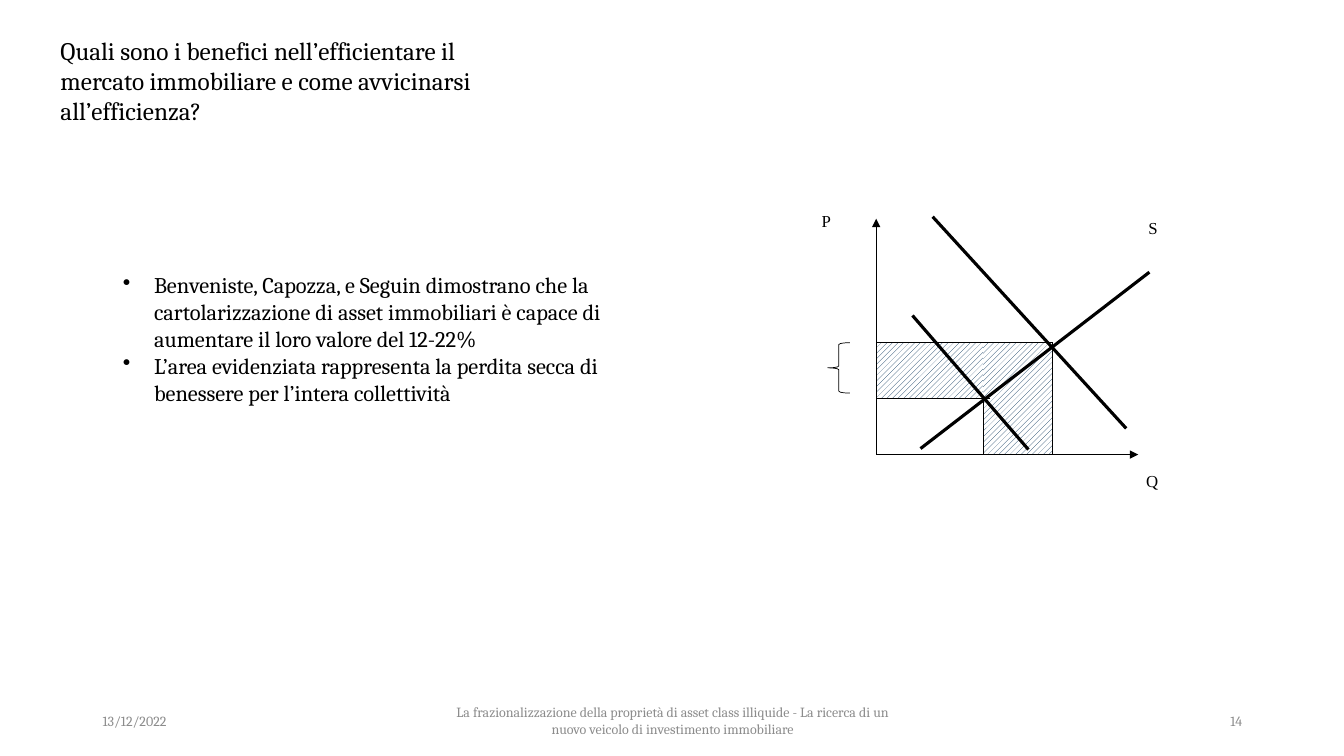
import pptx
import pptx.util
import pptx.dml.color
import pptx.enum.dml
import pptx.enum.shapes
import pptx.enum.text
import pptx.oxml.ns
import lxml.etree

Align = pptx.enum.text.PP_ALIGN
Anchor = pptx.enum.text.MSO_ANCHOR
Shape = pptx.enum.shapes.MSO_SHAPE
BLACK = pptx.dml.color.RGBColor(0x00, 0x00, 0x00)
GREY = pptx.dml.color.RGBColor(0x8C, 0x8C, 0x8C)
WHITE = pptx.dml.color.RGBColor(0xFF, 0xFF, 0xFF)
NAVY = pptx.dml.color.RGBColor(0x00, 0x2F, 0x56)

# Slide with a grid of square cells, 75 rows high
deck = pptx.Presentation()
deck.slide_width = pptx.util.Inches(13.33)
deck.slide_height = pptx.util.Inches(7.5)
CELL = deck.slide_height / 75
page = deck.slides.add_slide(deck.slide_layouts[6])


def add_text(place, texts, size, color=BLACK, font="Cambria",
             align=Align.LEFT, anchor=Anchor.TOP, bullet=False):
    box = page.shapes.add_textbox(*[round(n * CELL) for n in place])
    frame = box.text_frame
    frame.word_wrap = True
    frame.vertical_anchor = anchor
    for index, text in enumerate(texts):
        para = frame.paragraphs[0] if index == 0 else frame.add_paragraph()
        para.alignment = align
        if bullet:
            properties = para._p.get_or_add_pPr()
            properties.set("marL", str(round(3.1 * CELL)))
            properties.set("indent", str(round(-3.1 * CELL)))
            mark = lxml.etree.SubElement(properties, pptx.oxml.ns.qn("a:buChar"))
            mark.set("char", "•")
        span = para.add_run()
        span.text = text
        span.font.name = font
        span.font.size = pptx.util.Pt(size)
        span.font.color.rgb = color
    return frame


def add_line(start, end, weight, arrow=False):
    line = page.shapes.add_connector(
        pptx.enum.shapes.MSO_CONNECTOR.STRAIGHT,
        *[round(n * CELL) for n in start + end])
    line.line.color.rgb = BLACK
    line.line.width = pptx.util.Pt(weight)
    if arrow:
        head = lxml.etree.SubElement(line.line._get_or_add_ln(),
                                     pptx.oxml.ns.qn("a:tailEnd"))
        head.set("type", "triangle")
    lxml.etree.SubElement(line._element.spPr, pptx.oxml.ns.qn("a:effectLst"))


# Footer
for left, width, text, align in [
    (9.2, 30, "13/12/2022", Align.LEFT),
    (44.2, 45, "La frazionalizzazione della proprietà di asset class illiquide"
     " - La ricerca di un nuovo veicolo di investimento immobiliare", Align.CENTER),
    (94.2, 30, "14", Align.RIGHT),
]:
    add_text((left, 69.5, width, 4), [text], 10, GREY, align=align, anchor=Anchor.MIDDLE)

# Bullets and title
add_text((11.2, 5.9, 55, 55.4), [
    "Benveniste, Capozza, e Seguin dimostrano che la cartolarizzazione di asset"
    " immobiliari è capace di aumentare il loro valore del 12-22%",
    "L’area evidenziata rappresenta la perdita secca di benessere per l’intera"
    " collettività",
], 16, anchor=Anchor.MIDDLE, bullet=True)
title = add_text((0, 0, 51, 13.8), [
    "Quali sono i benefici nell’efficientare il mercato immobiliare e come"
    " avvicinarsi all’efficienza?"], 18)
title.margin_left = round(6 * CELL)
title.margin_top = round(3.5 * CELL)

# Key positions of the supply and demand graph
axis_x, base_y = 86.9, 45.1
low_q, high_q = 97.5, 104.4
low_p, high_p = 39.5, 34

# Hatched welfare loss
for left, top, right, bottom in [
    (axis_x, high_p, low_q, low_p),
    (low_q, high_p, high_q, base_y),
]:
    area = page.shapes.add_shape(
        Shape.RECTANGLE,
        *[round(n * CELL) for n in (left, top, right - left, bottom - top)])
    area.shadow.inherit = False
    area.line.fill.background()
    area.fill.patterned()
    area.fill.pattern = pptx.enum.dml.MSO_PATTERN.WIDE_UPWARD_DIAGONAL
    area.fill.fore_color.rgb = NAVY
    area.fill.back_color.rgb = WHITE

# Axes
for end in [(axis_x, 21.7), (112.9, base_y)]:
    add_line((axis_x, base_y), end, 0.5, arrow=True)

# Supply line, then the two demand lines
for start, end in [((114, 27), (91.3, 44.5)),
                   ((90.5, 31.3), (102, 44.6)),
                   ((92.5, 21.5), (111.7, 42.5))]:
    add_line(start, end, 2.25)

# Price and quantity guides
for start, end in [((98.2, low_p), (axis_x, low_p)),
                   ((low_q, base_y), (low_q, 39.9)),
                   ((high_q, high_p), (high_q, base_y)),
                   ((high_q, high_p), (axis_x, high_p))]:
    add_line(start, end, 0.5)

# Graph labels
for left, top, text in [(80.5, 20.4, "P"), (112.7, 46.2, "Q"), (112.9, 21.1, "S")]:
    add_text((left, top, 6.5, 6.2), [text], 12, font="Times New Roman")

# Brace marking the price gap
brace = page.shapes.add_shape(
    Shape.LEFT_BRACE, *[round(n * CELL) for n in (82.1, high_p, 2.2, 5)])
brace.shadow.inherit = False
brace.fill.background()
brace.line.color.rgb = BLACK
brace.line.width = pptx.util.Pt(0.5)

deck.save("out.pptx")
